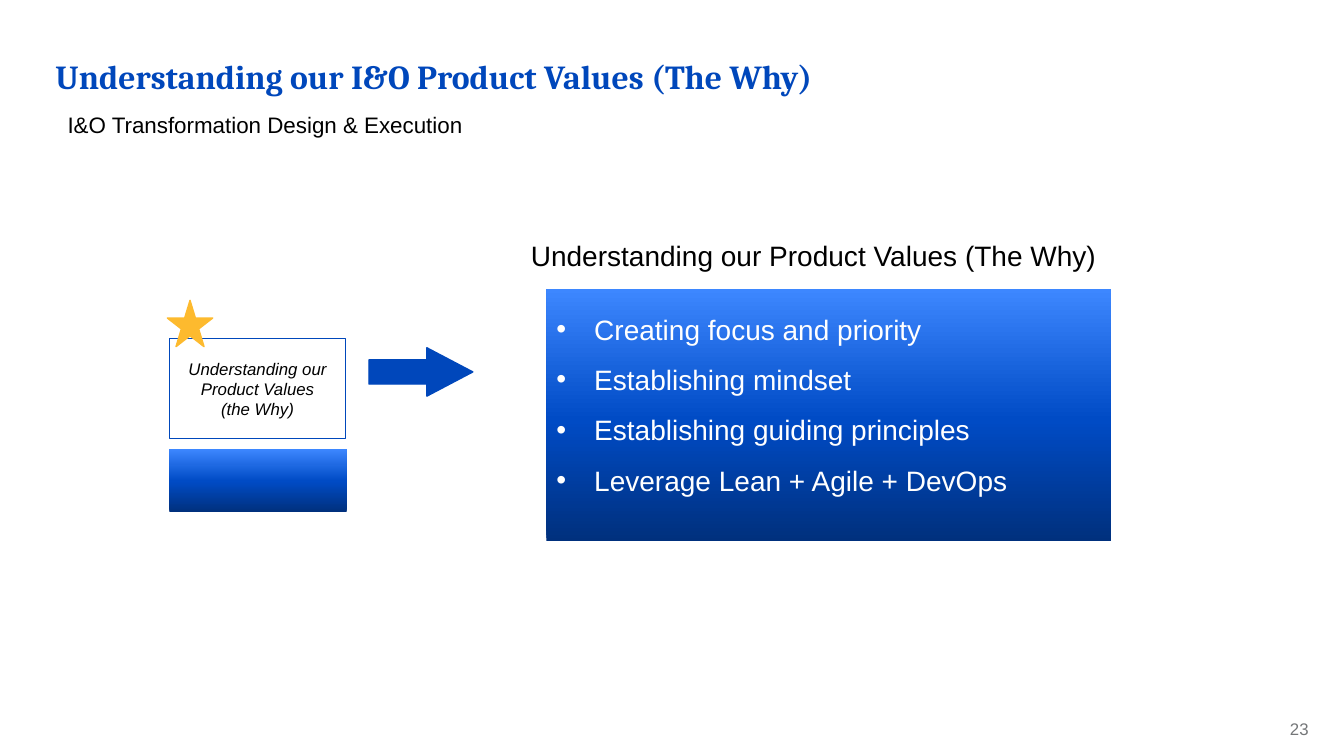
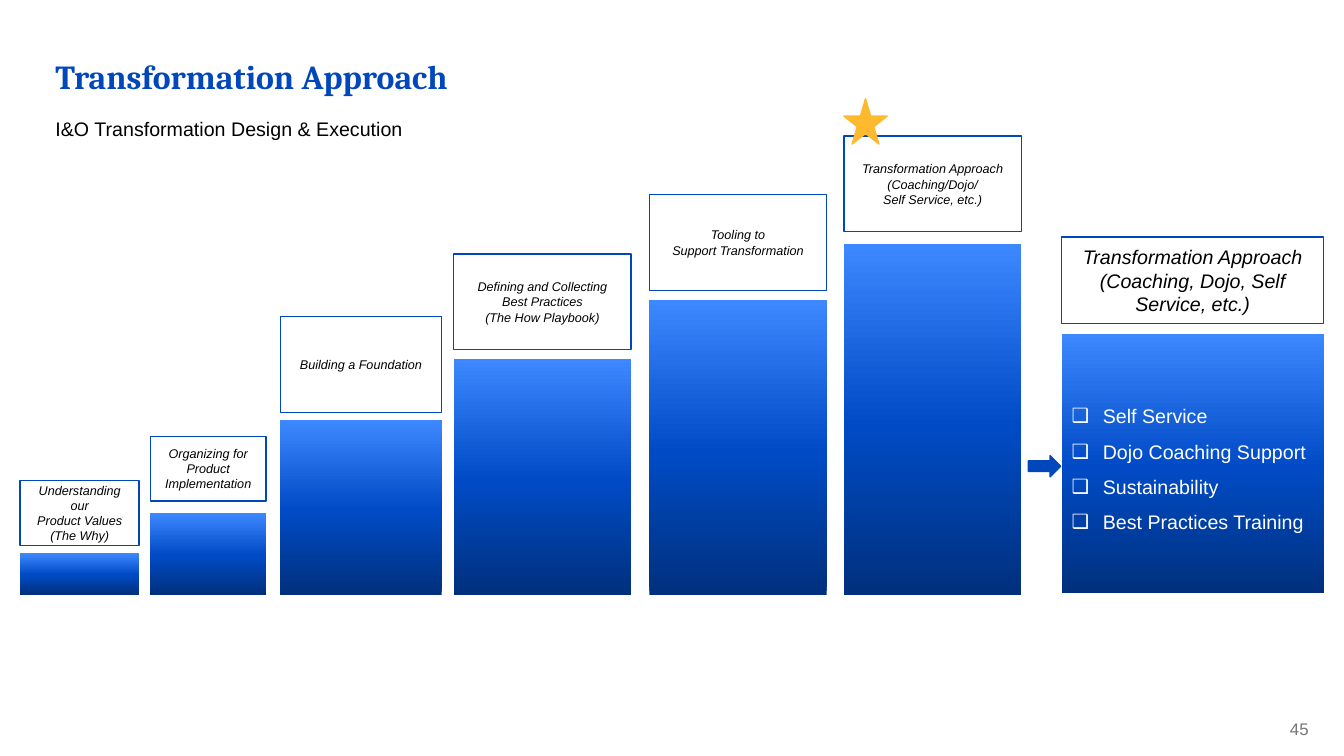
from copy import deepcopy

from lxml.etree import SubElement
from pptx import Presentation
from pptx.dml.color import RGBColor
from pptx.enum.shapes import MSO_SHAPE
from pptx.enum.text import MSO_ANCHOR, MSO_AUTO_SIZE, PP_ALIGN
from pptx.oxml.ns import qn
from pptx.util import Inches, Pt

BLUE = RGBColor(0x00, 0x47, 0xBB)
GOLD = RGBColor(0xFD, 0xBA, 0x2E)
BLACK = RGBColor(0x00, 0x00, 0x00)
WHITE = RGBColor(0xFF, 0xFF, 0xFF)
GRAY = RGBColor(0x74, 0x76, 0x78)
BAR_STOPS = (
    (0, RGBColor(0x00, 0x30, 0x7D)),
    (0.48, RGBColor(0x00, 0x4B, 0xC5)),
    (1, RGBColor(0x3D, 0x87, 0xFF)),
)

CELL = Inches(0.1)  # all places are counted in columns and rows of this grid
SUBTITLE = "I&O Transformation Design & Execution"
STEPS_BASE = 59

# left, width, label top, label height, bar top, label lines
STEPS = (
    (2, 11.8, 47.7, 6.4, 54.9,
     ("Understanding our", "Product Values", "(The Why)")),
    (14.9, 11.5, 43.3, 6.4, 50.9,
     ("Organizing for", "Product", "Implementation")),
    (27.8, 16, 31.4, 9.5, 41.7,
     ("Building a Foundation",)),
    (45, 17.6, 25.2, 9.5, 35.6,
     ("Defining and Collecting", "Best Practices", "(The How Playbook)")),
    (64.4, 17.6, 19.3, 9.5, 29.8,
     ("Tooling to", "Support Transformation")),
    (83.7, 17.6, 13.5, 9.5, 24.2,
     ("Transformation Approach (Coaching/Dojo/", "Self Service, etc.)")),
)


def cells(*counts):
    return [round(count * CELL) for count in counts]


def apply(target, values):
    for name, value in values.items():
        setattr(target, name, value)


def set_bullet(paragraph, mark, indent):
    """Hang the paragraph by indent columns; no mark means no bullet."""
    properties = paragraph._p.get_or_add_pPr()
    hang = round(indent * CELL)
    properties.set("marL", str(hang))
    properties.set("indent", str(-hang))
    if mark:
        SubElement(properties, qn("a:buFont"), typeface="Arial")
        SubElement(properties, qn("a:buChar"), char=mark)
    else:
        SubElement(properties, qn("a:buNone"))


class Deck:
    FLUSH = dict.fromkeys(
        ("margin_left", "margin_top", "margin_right", "margin_bottom"), 0)
    TITLE = {"name": "Cambria", "size": Pt(24), "bold": True,
             "color": BLUE}

    def __init__(self):
        self.presentation = Presentation()
        self.presentation.slide_width = Inches(13.33)
        self.presentation.slide_height = Inches(7.5)
        self.slide = None

    def set_lines(self, frame, lines, font, layout=None, mark=None, indent=0,
                  anchor=MSO_ANCHOR.MIDDLE, flush=False):
        apply(frame, {"word_wrap": True, "auto_size": MSO_AUTO_SIZE.NONE,
                      "vertical_anchor": anchor,
                      **(self.FLUSH if flush else {})})
        font = {"name": "Arial", **font}
        color = font.pop("color", BLACK)
        for index, line in enumerate(lines):
            paragraph = frame.add_paragraph() if index else frame.paragraphs[0]
            set_bullet(paragraph, mark, indent)
            apply(paragraph, layout or {"alignment": PP_ALIGN.CENTER})
            run = paragraph.add_run()
            run.text = line
            apply(run.font, font)
            run.font.color.rgb = color

    def place(self, holder, area, line, font, layout):
        """Move a placeholder and fill it with one line of text."""
        apply(holder, dict(zip(("left", "top", "width", "height"),
                               cells(*area))))
        self.set_lines(holder.text_frame, [line], font,
                       {"alignment": PP_ALIGN.LEFT, "space_before": Pt(0),
                        **layout}, anchor=MSO_ANCHOR.TOP, flush=True)

    def start(self, title, number, subtitle_at, subtitle_size):
        """Add a slide with its title, subtitle and page number."""
        layout = self.presentation.slide_layouts[1]
        self.slide = self.presentation.slides.add_slide(layout)
        heading, subtitle = self.slide.placeholders
        self.place(heading, (5.5, 6, 122.3, 4.5), title, self.TITLE,
                   {"line_spacing": 0.9})
        self.place(subtitle, (*subtitle_at, 120.6, 5.4), SUBTITLE,
                   {"size": Pt(subtitle_size)},
                   {"line_spacing": 1.12, "space_after": Pt(12)})
        self.text((121.5, 71.5, 8.3, 2.1), str(number),
                  {"size": Pt(12), "color": GRAY},
                  {"alignment": PP_ALIGN.RIGHT, "line_spacing": 0.9},
                  anchor=MSO_ANCHOR.TOP, flush=True)

    def text(self, area, line, font, layout=None, **options):
        box = self.slide.shapes.add_textbox(*cells(*area))
        self.set_lines(box.text_frame, [line], font, layout, **options)

    def shape(self, preset, area, fill=None, line=None):
        shape = self.slide.shapes.add_shape(preset, *cells(*area))
        shape.shadow.inherit = False
        for paint, color in ((shape.fill, fill), (shape.line.fill, line)):
            if color is None:
                paint.background()
            else:
                paint.solid()
                paint.fore_color.rgb = color
        if line is not None:
            shape.line.width = Pt(1)
        return shape

    def label(self, area, lines, size):
        box = self.shape(MSO_SHAPE.RECTANGLE, area, line=BLUE)
        self.set_lines(box.text_frame, lines,
                       {"size": Pt(size), "italic": True})

    def bar(self, area):
        bar = self.shape(MSO_SHAPE.RECTANGLE, area)
        bar.fill.gradient()
        bar.fill.gradient_angle = 90
        stops = bar._element.spPr.find(qn("a:gradFill")).find(qn("a:gsLst"))
        stops.insert(1, deepcopy(stops[0]))
        for stop, (position, color) in zip(bar.fill.gradient_stops, BAR_STOPS):
            stop.position = position
            stop.color.rgb = color
        return bar

    def list_bar(self, area, items, size, mark, indent, space_below=0.5):
        frame = self.bar(area).text_frame
        self.set_lines(frame, items, {"size": Pt(size), "color": WHITE},
                       {"alignment": PP_ALIGN.LEFT, "line_spacing": 1.5},
                       mark=mark, indent=indent)
        frame.margin_bottom = round(space_below * CELL)

    def star(self, area):
        self.shape(MSO_SHAPE.STAR_5_POINT, area, GOLD, GOLD)

    def arrow(self, area, head=0.5):
        arrow = self.shape(MSO_SHAPE.RIGHT_ARROW, area, BLUE, BLUE)
        arrow.adjustments[1] = head


def add_product_values(deck):
    deck.start("Understanding our I&O Product Values (The Why)", 23,
               (6.7, 10.7), 16)
    deck.label((16.8, 33.6, 17.5, 9.9),
               ("Understanding our", "Product Values", "(the Why)"), 12)
    deck.bar((16.8, 44.5, 17.6, 6.3))
    deck.star((16.6, 29.8, 4.5, 4.6))
    deck.arrow((36.6, 34.5, 10.3, 4.8), head=0.95)
    deck.text((51.5, 22.8, 58.4, 5.1),
              "Understanding our Product Values (The Why)", {"size": Pt(20)})
    deck.list_bar((54.2, 28.7, 56, 25),
                  ("Creating focus and priority", "Establishing mindset",
                   "Establishing guiding principles",
                   "Leverage Lean + Agile + DevOps"),
                  20, "•", 3.75, space_below=4.3)


def add_transformation_approach(deck):
    deck.start("Transformation Approach", 45, (5.5, 11.3), 14)
    for left, width, label_top, label_height, bar_top, lines in STEPS:
        deck.bar((left, bar_top, width, STEPS_BASE - bar_top))
        deck.label((left, label_top, width, label_height), lines, 9)
    deck.star((83.7, 9.8, 4.3, 4.5))
    deck.arrow((102, 45.2, 3.2, 2.1))
    deck.label((105.3, 23.5, 26, 8.6),
               ("Transformation Approach (Coaching, Dojo, Self Service, etc.)",),
               14)
    deck.list_bar((105.3, 33.1, 26, 25.7),
                  ("Self Service", "Dojo Coaching Support", "Sustainability",
                   "Best Practices Training"), 14, "❑", 3.1)


def main():
    deck = Deck()
    add_product_values(deck)
    add_transformation_approach(deck)
    deck.presentation.save("out.pptx")


if __name__ == "__main__":
    main()
